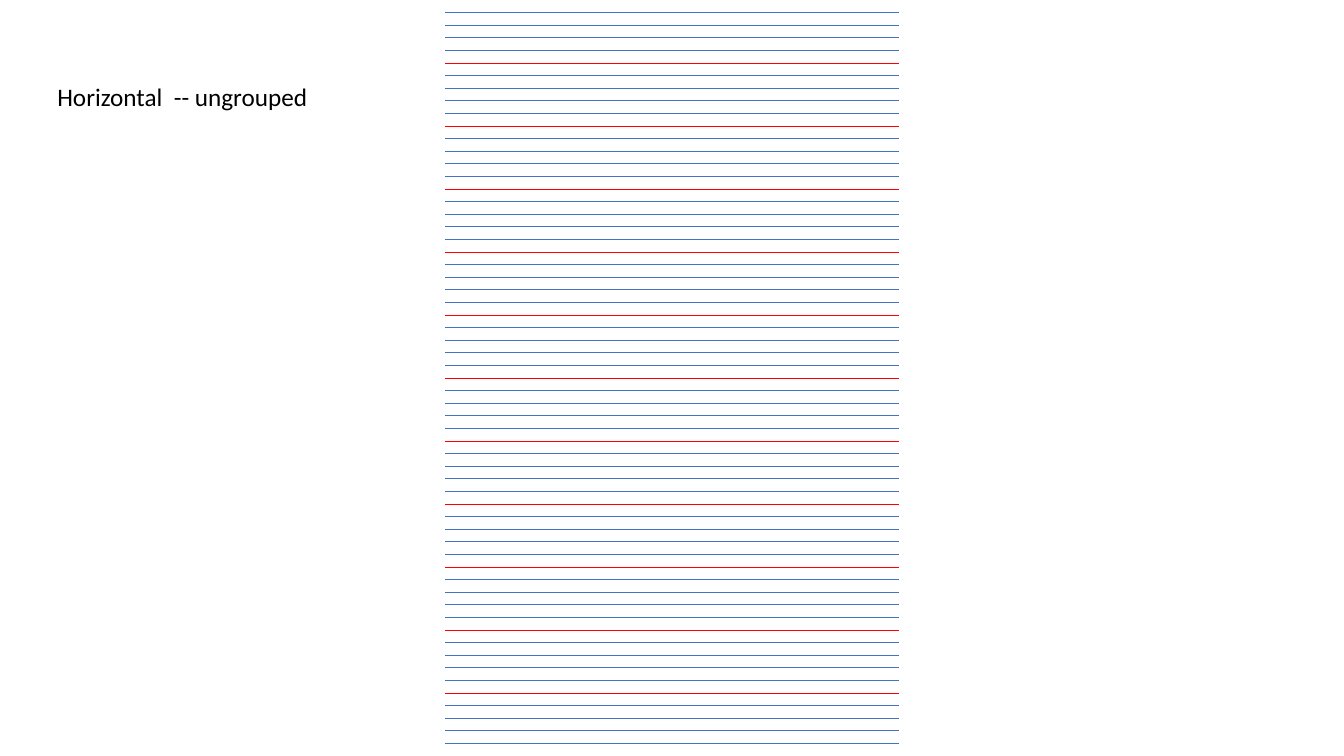
from lxml import etree
from pptx import Presentation
from pptx.dml.color import RGBColor
from pptx.enum.shapes import MSO_CONNECTOR as CONN
from pptx.enum.text import MSO_ANCHOR, MSO_AUTO_SIZE as FIT, PP_ALIGN
from pptx.oxml.ns import qn
from pptx.util import Cm, Pt

COLORS = {"minor": "4472C4", "major": "FF0000", "text": "000000"}
LEFT, RIGHT = 11.21, 22.66
LINE_COUNT = 59
SLIDE_HEIGHT = 19.05
GAP = SLIDE_HEIGHT / (LINE_COUNT + 1)

prs = Presentation()
prs.slide_width, prs.slide_height = Cm(33.87), Cm(SLIDE_HEIGHT)
s = prs.slides.add_slide(prs.slide_layouts[5])

title = s.shapes.title
title.left, title.top, title.width, title.height = Cm(1.19), Cm(1.91), Cm(6.88), Cm(1.03)
tf = title.text_frame
tf.text = "Horizontal  -- ungrouped"
tf.word_wrap = False
tf.auto_size = FIT.SHAPE_TO_FIT_TEXT
tf.vertical_anchor = MSO_ANCHOR.TOP
p = tf.paragraphs[0]
p.alignment = PP_ALIGN.LEFT
r = p.runs[0]
r.font.name = "Calibri"
r.font.size = Pt(18)
r.font.color.rgb = RGBColor.from_string(COLORS["text"])

for i in range(1, LINE_COUNT + 1):
    y = Cm(i * GAP)
    rule = s.shapes.add_connector(CONN.STRAIGHT, Cm(LEFT), y, Cm(RIGHT), y)
    color = COLORS["major" if i % 5 == 0 else "minor"]
    rule.line.color.rgb = RGBColor.from_string(color)
    rule.line.width = Pt(0.5)
    etree.SubElement(rule._element.spPr, qn("a:effectLst"))

prs.save("out.pptx")
